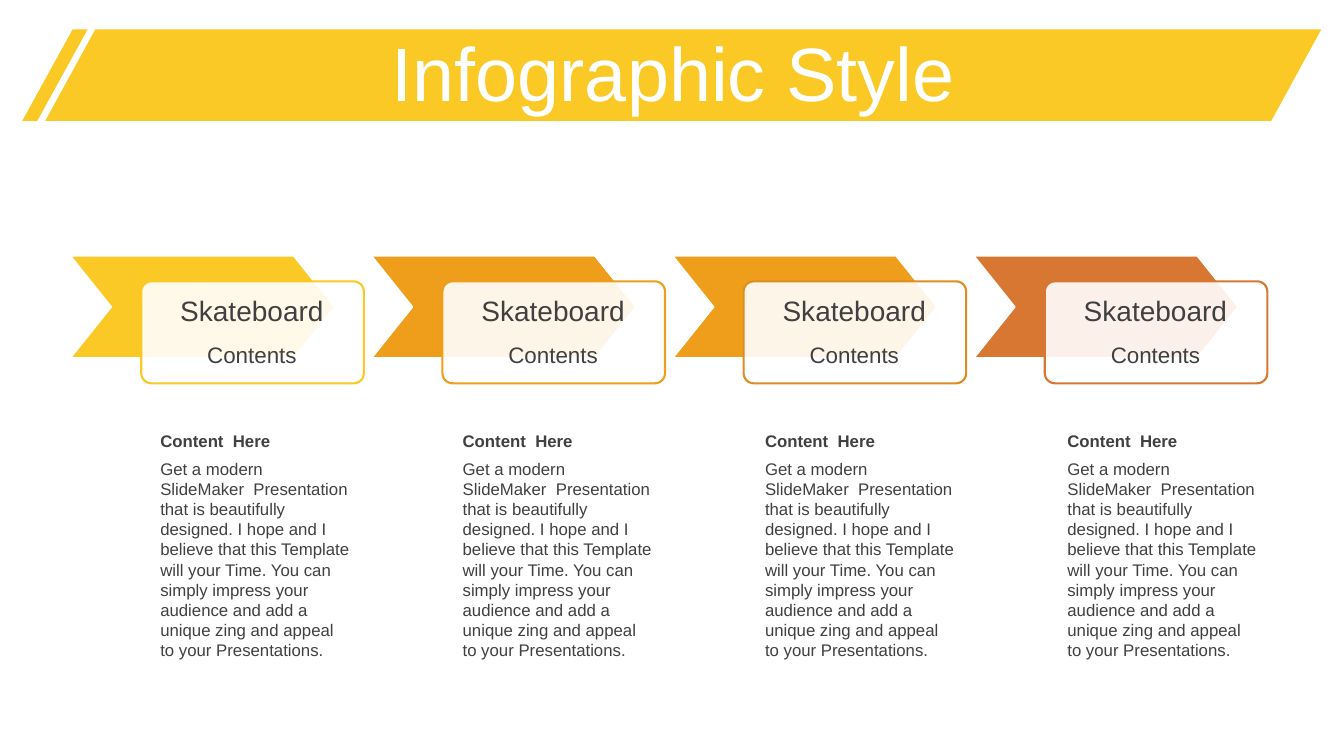
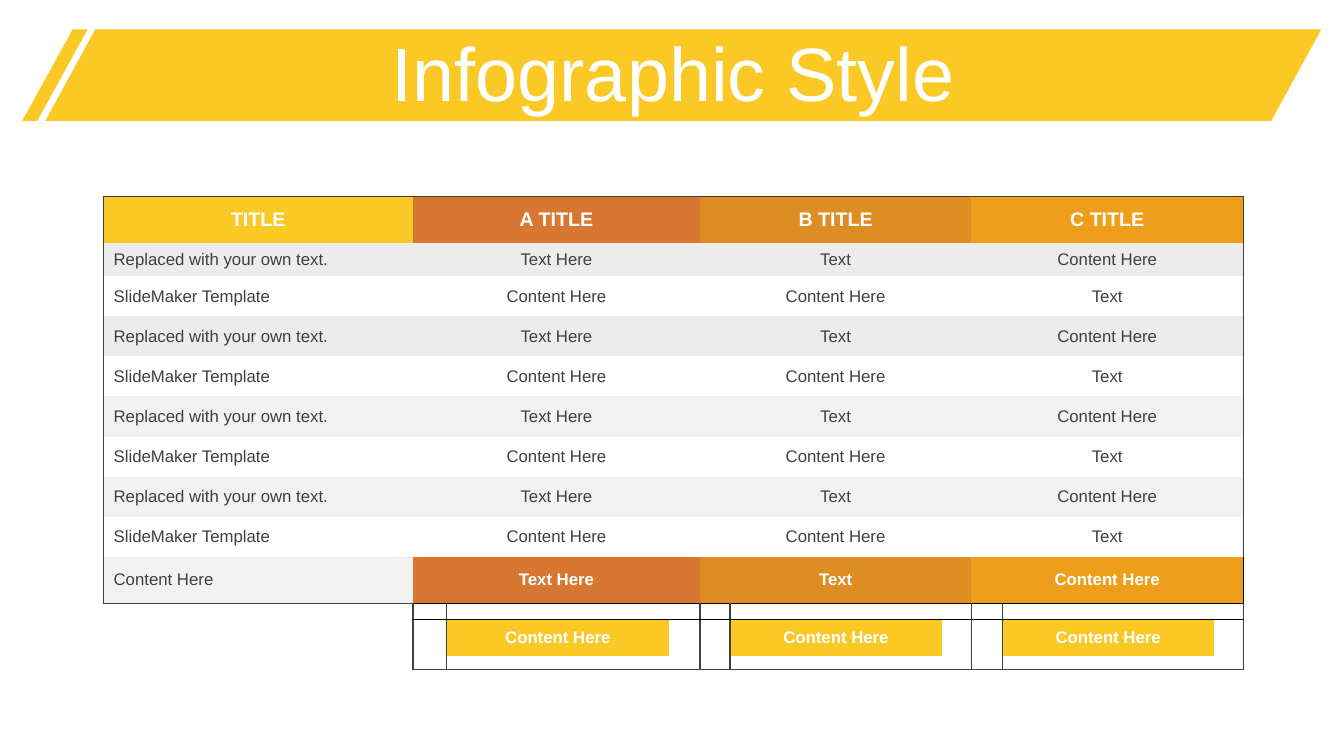
"""Build two infographic slides: a four-step chevron row and a comparison table."""
from lxml import etree
from pptx import Presentation
from pptx.dml.color import RGBColor
from pptx.enum.shapes import MSO_SHAPE
from pptx.enum.text import MSO_ANCHOR, MSO_AUTO_SIZE, PP_ALIGN
from pptx.oxml.ns import qn
from pptx.util import Cm, Pt

LEFT, CENTER = PP_ALIGN.LEFT, PP_ALIGN.CENTER
TOP, MIDDLE = MSO_ANCHOR.TOP, MSO_ANCHOR.MIDDLE
NO_FIT = MSO_AUTO_SIZE.NONE
PARALLELOGRAM, CHEVRON = MSO_SHAPE.PARALLELOGRAM, MSO_SHAPE.CHEVRON
ROUNDED = MSO_SHAPE.ROUNDED_RECTANGLE

FONT = "Arial"
COLOURS = {
    "yellow": "FAC926", "amber": "EF9E1B", "ochre": "DE8D22", "rust": "D87732",
    "white": "FFFFFF", "text": "404040", "black": "000000",
    "grey": "ECECEC", "pale": "F2F2F2",
}
TITLE = "Infographic Style"
BANDS = [((1.14, 0.74, 32.16, 2.31), 0.547), ((0.56, 0.74, 1.65, 2.31), 0.771)]

STEP_COLOURS = [("yellow", "yellow"), ("amber", "amber"), ("amber", "ochre"), ("rust", "rust")]
STEP_NAME, STEP_DETAIL = "Skateboard", "Contents"
NOTE_HEADING = "Content  Here"
NOTE_BODY = (
    "Get a modern SlideMaker  Presentation that is beautifully designed. "
    "I hope and I believe that this Template will your Time. You can simply "
    "impress your audience and add a unique zing and appeal to your Presentations."
)
STEP_PITCH, NOTE_PITCH = 7.59, 7.62

HEADER = ["TITLE", "A TITLE", "B TITLE", "C TITLE"]
ODD_ROW = ["Replaced with your own text.", "Text Here", "Text", "Content Here"]
EVEN_ROW = ["SlideMaker Template", "Content Here", "Content Here", "Text"]
TOTALS = ["Content Here", "Text Here", "Text", "Content Here"]
ROWS = [HEADER] + [ODD_ROW, EVEN_ROW] * 4 + [TOTALS]
BUTTON = "Content Here"
GROUP_COLOURS = ["yellow", "rust", "ochre", "amber"]
GROUP_STARTS = [0, 1, 4, 7]
COLUMN_WIDTHS = [7.8, 0.85, 5.6, 0.78, 0.76, 5.34, 0.74, 0.79, 5.32, 0.74]
ROW_HEIGHTS = [1.18, 0.83] + [1.01] * 7 + [1.17, 0.41, 0.93, 0.33]
TOTAL_ROW, FOOT_ROW = 9, 10
BUTTON_ROW, LAST_ROW = FOOT_ROW + 1, FOOT_ROW + 2
PLAIN_TABLE_STYLE = "{2D5ABB26-0587-4C30-8999-92F81FD0307C}"


def rgb(name):
    return RGBColor.from_string(COLOURS[name])


def write(frame, text, size, colour="text", bold=False, align=LEFT):
    frame.text = text
    paragraph = frame.paragraphs[0]
    paragraph.alignment = align
    font = paragraph.runs[0].font
    font.name, font.size, font.bold = FONT, Pt(size), bold
    font.color.rgb = rgb(colour)


def add_panel(slide, kind, box, adjustment, fill, line=None, line_width=1):
    panel = slide.shapes.add_shape(kind, *map(Cm, box))
    panel.adjustments[0] = adjustment
    panel.shadow.inherit = False
    panel.fill.solid()
    panel.fill.fore_color.rgb = rgb(fill)
    if line:
        panel.line.color.rgb = rgb(line)
        panel.line.width = Pt(line_width)
    else:
        panel.line.fill.background()
    return panel


def add_label(slide, box, text, size, bold=False, align=LEFT, anchor=TOP):
    frame = slide.shapes.add_textbox(*map(Cm, box)).text_frame
    frame.word_wrap = True
    frame.vertical_anchor = anchor
    write(frame, text, size, bold=bold, align=align)


def prepare_layout(layout):
    for placeholder in list(layout.placeholders):
        if placeholder.placeholder_format.idx:
            layout.shapes.element.remove(placeholder.element)
        else:
            placeholder.left, placeholder.top = Cm(0.89), Cm(0.94)
            placeholder.width, placeholder.height = Cm(32.16), Cm(2.01)


def add_bands(slide):
    for box, slant in BANDS:
        band = add_panel(slide, PARALLELOGRAM, box, slant, "yellow")
        slide.slide_layout.shapes.element.insert(2, band.element)


def add_titled_slide(deck, layout):
    slide = deck.slides.add_slide(layout)
    frame = slide.shapes.title.text_frame
    frame.auto_size = NO_FIT
    frame.vertical_anchor = MIDDLE
    write(frame, TITLE, 54, "white", align=CENTER)
    frame.paragraphs[0].line_spacing = 0.9
    return slide


def add_steps(slide):
    for step, (arrow_colour, card_colour) in enumerate(STEP_COLOURS):
        left = 1.78 + step * STEP_PITCH
        add_panel(slide, CHEVRON, (left, 6.45, 6.65, 2.57), 0.4, arrow_colour, "white")
        card = add_panel(slide, ROUNDED, (left + 1.78, 7.09, 5.61, 2.57), 0.1,
                         "white", card_colour, 1.5)
        card_fill = card.element.spPr.find(qn("a:solidFill"))
        etree.SubElement(card_fill[0], qn("a:alpha"), val="90000")
        add_label(slide, (left + 1.93, 7.26, 5.28, 1.12), STEP_NAME, 20, align=CENTER)
        add_label(slide, (left + 1.93, 8.48, 5.28, 0.94), STEP_DETAIL, 16, align=CENTER)
        note_left = 3.79 + step * NOTE_PITCH
        add_label(slide, (note_left, 10.74, 5.31, 0.76), NOTE_HEADING, 12, True, anchor=MIDDLE)
        add_label(slide, (note_left, 11.43, 5.31, 5.38), NOTE_BODY, 12)


def draw_borders(cell, row, column):
    upper = row < FOOT_ROW
    first = column == 0
    edges = {
        "L": first if upper else column in GROUP_STARTS[1:],
        "R": column == GROUP_STARTS[-1] if upper else column % 3 == 0,
        "T": row in (0, FOOT_ROW),
        "B": row == TOTAL_ROW or row == LAST_ROW and not first,
    }
    for side, drawn in edges.items():
        if drawn:
            dark = not first and (row == TOTAL_ROW or row == FOOT_ROW and side == "T")
            line = etree.SubElement(cell._tc.get_or_add_tcPr(), qn(f"a:ln{side}"), w=str(Pt(1)))
            fill = etree.SubElement(line, qn("a:solidFill"))
            etree.SubElement(fill, qn("a:srgbClr"), val=COLOURS["black" if dark else "text"])


def paint(cell, colour):
    if colour:
        cell.fill.solid()
        cell.fill.fore_color.rgb = rgb(colour)
    else:
        cell.fill.background()


def fill_text_cell(cell, row, group):
    highlighted = row == 0 or row == TOTAL_ROW and group > 0
    if highlighted:
        paint(cell, GROUP_COLOURS[group])
    elif row % 2:
        paint(cell, "grey" if row < 5 else "pale")
    else:
        paint(cell, None)
    write(cell.text_frame, ROWS[row][group], 12 if row else 14,
          "white" if highlighted else "text", highlighted,
          LEFT if row and group == 0 else CENTER)


def fill_foot_cell(cell, row, column):
    if row == BUTTON_ROW and column % 3 == 2:
        paint(cell, "yellow")
        write(cell.text_frame, BUTTON, 12, "white", True, CENTER)
    else:
        paint(cell, "white" if column else None)
        cell.margin_top = cell.margin_bottom = 0
        etree.SubElement(cell.text_frame.paragraphs[0]._p, qn("a:endParaRPr"), sz="400")


def add_comparison(slide):
    holder = slide.shapes.add_table(
        len(ROW_HEIGHTS), len(COLUMN_WIDTHS), Cm(2.61), Cm(4.95),
        Cm(sum(COLUMN_WIDTHS)), Cm(sum(ROW_HEIGHTS)))
    next(holder.element.iter(qn("a:tableStyleId"))).text = PLAIN_TABLE_STYLE
    table = holder.table
    table.first_row = table.horz_banding = False
    for column, width in zip(table.columns, COLUMN_WIDTHS):
        column.width = Cm(width)
    for row, height in zip(table.rows, ROW_HEIGHTS):
        row.height = Cm(height)
    for row in range(FOOT_ROW):
        for start in GROUP_STARTS[1:]:
            table.cell(row, start).merge(table.cell(row, start + 2))
    table.cell(FOOT_ROW, 0).merge(table.cell(LAST_ROW, 0))
    for row in range(len(ROW_HEIGHTS)):
        for column in range(len(COLUMN_WIDTHS)):
            cell = table.cell(row, column)
            if cell.is_spanned:
                continue
            cell.vertical_anchor = MIDDLE
            draw_borders(cell, row, column)
            if row < FOOT_ROW:
                fill_text_cell(cell, row, GROUP_STARTS.index(column))
            else:
                fill_foot_cell(cell, row, column)


def main():
    deck = Presentation()
    deck.slide_width, deck.slide_height = Cm(33.87), Cm(19.05)
    layout = deck.slide_layouts[5]
    prepare_layout(layout)
    steps_slide = add_titled_slide(deck, layout)
    add_bands(steps_slide)
    add_steps(steps_slide)
    add_comparison(add_titled_slide(deck, layout))
    deck.save("out.pptx")


if __name__ == "__main__":
    main()
